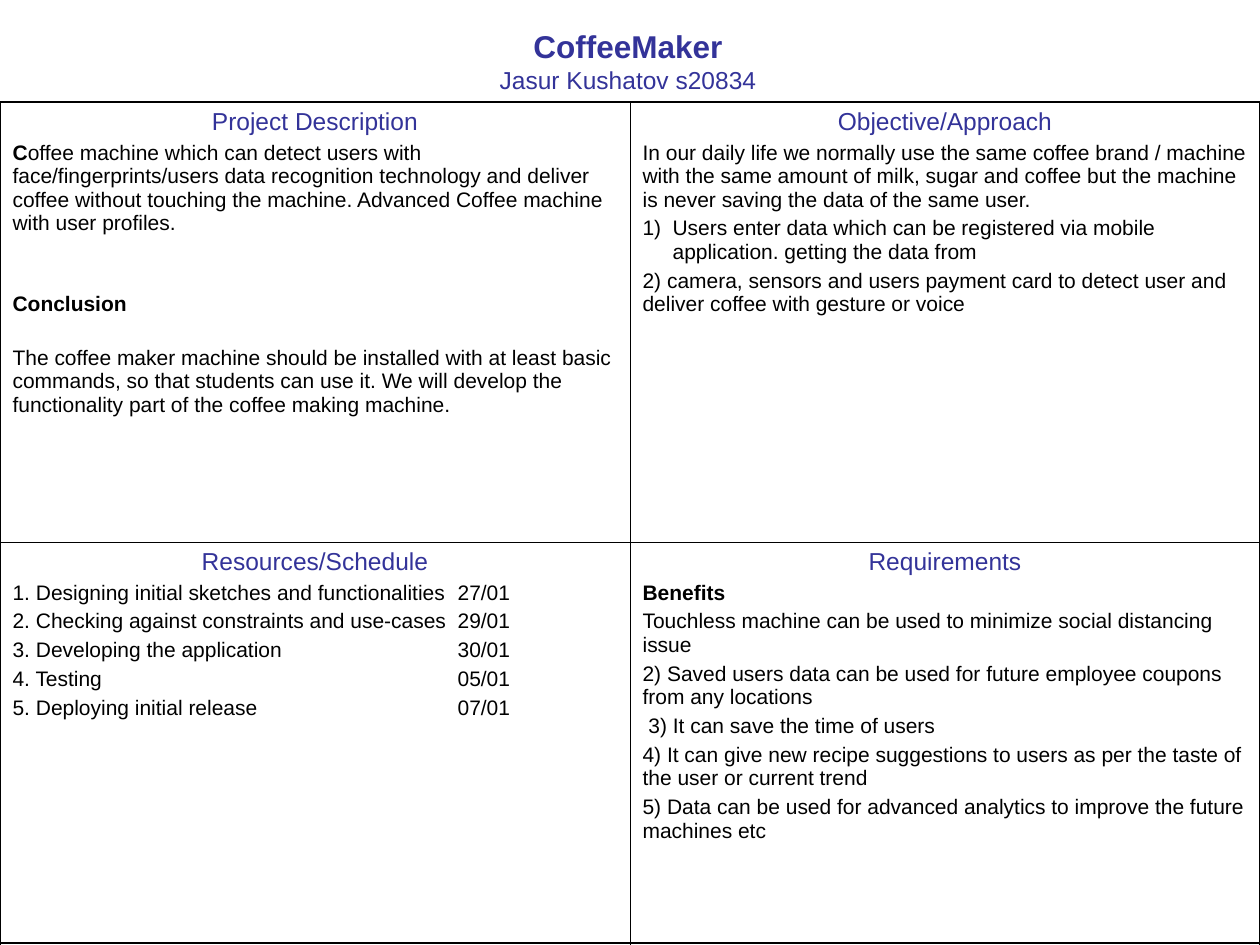
import dataclasses

import lxml.etree
import pptx
import pptx.dml.color
import pptx.enum.text
import pptx.oxml
import pptx.oxml.ns
import pptx.util

EMU_PER_PX = 914400 / 126
SLIDE_WIDTH, SLIDE_HEIGHT = 1260, 945
COLUMN_WIDTHS = [630, 630]
ROW_HEIGHTS = [440, 401, 401]
DATE_TAB = 445
NUMBER_INDENT = 30


@dataclasses.dataclass(frozen=True)
class Theme:
    font: str = "Arial"
    accent: str = "333399"
    ink: str = "000000"
    title_size: int = 18
    heading_size: int = 14
    body_size: int = 12
    outer_border: float = 1.08
    inner_border: float = 0.45


@dataclasses.dataclass(frozen=True)
class Entry:
    text: str
    bold_lead: str = ""
    bold: bool = False
    numbered: bool = False
    space_before: float = 3


THEME = Theme()

DESCRIPTION = [
    Entry("offee machine which can detect users with face/fingerprints/users data "
          "recognition technology and deliver coffee without touching the machine. "
          "Advanced Coffee machine with user profiles.", bold_lead="C"),
    Entry("Conclusion", bold=True, space_before=33),
    Entry("The coffee maker machine should be installed with at least basic commands, "
          "so that students can use it. We will develop the functionality part of the "
          "coffee making machine.", space_before=17),
]
OBJECTIVE = [
    Entry("In our daily life we normally use the same coffee brand / machine with the "
          "same amount of milk, sugar and coffee but the machine is never saving the "
          "data of the same user."),
    Entry("Users enter data which can be registered via mobile application. "
          "getting the data from", numbered=True),
    Entry("2) camera, sensors and users payment card to detect user and deliver coffee "
          "with gesture or voice"),
]
SCHEDULE = [
    Entry("1. Designing initial sketches and functionalities\t27/01"),
    Entry("2. Checking against constraints and use-cases\t29/01"),
    Entry("3. Developing the application\t30/01"),
    Entry("4. Testing\t05/01"),
    Entry("5. Deploying initial release\t07/01"),
]
REQUIREMENTS = [
    Entry("Benefits", bold=True),
    Entry("Touchless machine can be used to minimize social distancing issue"),
    Entry("2) Saved users data can be used for future employee coupons from any locations"),
    Entry(" 3) It can save the time of users"),
    Entry("4) It can give new recipe suggestions to users as per the taste of the user "
          "or current trend"),
    Entry("5) Data can be used for advanced analytics to improve the future machines etc"),
]
QUADRANTS = [
    [("Project Description", DESCRIPTION), ("Objective/Approach", OBJECTIVE)],
    [("Resources/Schedule", SCHEDULE), ("Requirements", REQUIREMENTS)],
]


def px(length):
    return pptx.util.Emu(round(length * EMU_PER_PX))


def add_child(parent, tag, **attributes):
    return lxml.etree.SubElement(parent, pptx.oxml.ns.qn(tag), attributes)


def style_font(paragraph, size, color, bold=None):
    font = paragraph.font
    font.name = THEME.font
    font.size = pptx.util.Pt(size)
    font.color.rgb = pptx.dml.color.RGBColor.from_string(color)
    font.bold = bold


def write_heading(paragraph, text, size, bold=None):
    paragraph.text = text
    paragraph.alignment = pptx.enum.text.PP_ALIGN.CENTER
    style_font(paragraph, size, THEME.accent, bold)


def write_entry(paragraph, entry):
    paragraph.space_before = pptx.util.Pt(entry.space_before)
    properties = paragraph._p.get_or_add_pPr()
    if entry.numbered:
        properties.set("marL", str(px(NUMBER_INDENT)))
        properties.set("indent", str(px(-NUMBER_INDENT)))
        add_child(properties, "a:buFont", typeface=THEME.font)
        add_child(properties, "a:buAutoNum", type="arabicParenR")
    if "\t" in entry.text:
        tabs = add_child(properties, "a:tabLst")
        add_child(tabs, "a:tab", pos=str(px(DATE_TAB)), algn="l")
    if entry.bold_lead:
        lead = paragraph.add_run()
        lead.text = entry.bold_lead
        lead.font.bold = True
    paragraph.add_run().text = entry.text
    style_font(paragraph, THEME.body_size, THEME.ink, entry.bold)


def set_borders(cell, left, right, top, bottom):
    properties = cell._tc.get_or_add_tcPr()
    widths = {"a:lnL": left, "a:lnR": right, "a:lnT": top, "a:lnB": bottom}
    for position, (tag, width) in enumerate(widths.items()):
        line = pptx.oxml.parse_xml(
            f'<{tag} {pptx.oxml.ns.nsdecls("a")} w="{pptx.util.Pt(width)}">'
            f'<a:solidFill><a:srgbClr val="{THEME.ink}"/></a:solidFill></{tag}>')
        properties.insert(position, line)


def add_title(slide):
    box = slide.shapes.add_textbox(px(103), px(21), px(1050), px(81))
    frame = box.text_frame
    frame.word_wrap = True
    write_heading(frame.paragraphs[0], "CoffeeMaker", THEME.title_size, bold=True)
    write_heading(frame.add_paragraph(), "Jasur Kushatov s20834", THEME.heading_size)


def fill_quadrant(cell, heading, entries):
    frame = cell.text_frame
    title = frame.paragraphs[0]
    title.space_before = pptx.util.Pt(3.5)
    write_heading(title, heading, THEME.heading_size)
    for entry in entries:
        write_entry(frame.add_paragraph(), entry)


def add_quad_chart(slide):
    """Add the ruled table; its last row is blank and runs past the slide's foot."""
    table = slide.shapes.add_table(
        len(ROW_HEIGHTS), len(COLUMN_WIDTHS), px(0), px(102),
        px(sum(COLUMN_WIDTHS)), px(sum(ROW_HEIGHTS))).table
    table.first_row = table.horz_banding = False
    for column, width in zip(table.columns, COLUMN_WIDTHS):
        column.width = px(width)
    for row, height in zip(table.rows, ROW_HEIGHTS):
        row.height = px(height)

    outer, inner = THEME.outer_border, THEME.inner_border
    vertical_rules = [outer, inner, outer]
    horizontal_rules = [outer, inner, outer, outer]
    for r in range(len(ROW_HEIGHTS)):
        for c in range(len(COLUMN_WIDTHS)):
            cell = table.cell(r, c)
            cell.fill.background()
            set_borders(cell, *vertical_rules[c:c + 2], *horizontal_rules[r:r + 2])

    for r, quadrants in enumerate(QUADRANTS):
        for c, (heading, entries) in enumerate(quadrants):
            fill_quadrant(table.cell(r, c), heading, entries)


def main():
    presentation = pptx.Presentation()
    presentation.slide_width = px(SLIDE_WIDTH)
    presentation.slide_height = px(SLIDE_HEIGHT)
    slide = presentation.slides.add_slide(presentation.slide_layouts[6])
    add_title(slide)
    add_quad_chart(slide)
    presentation.save("out.pptx")


if __name__ == "__main__":
    main()
